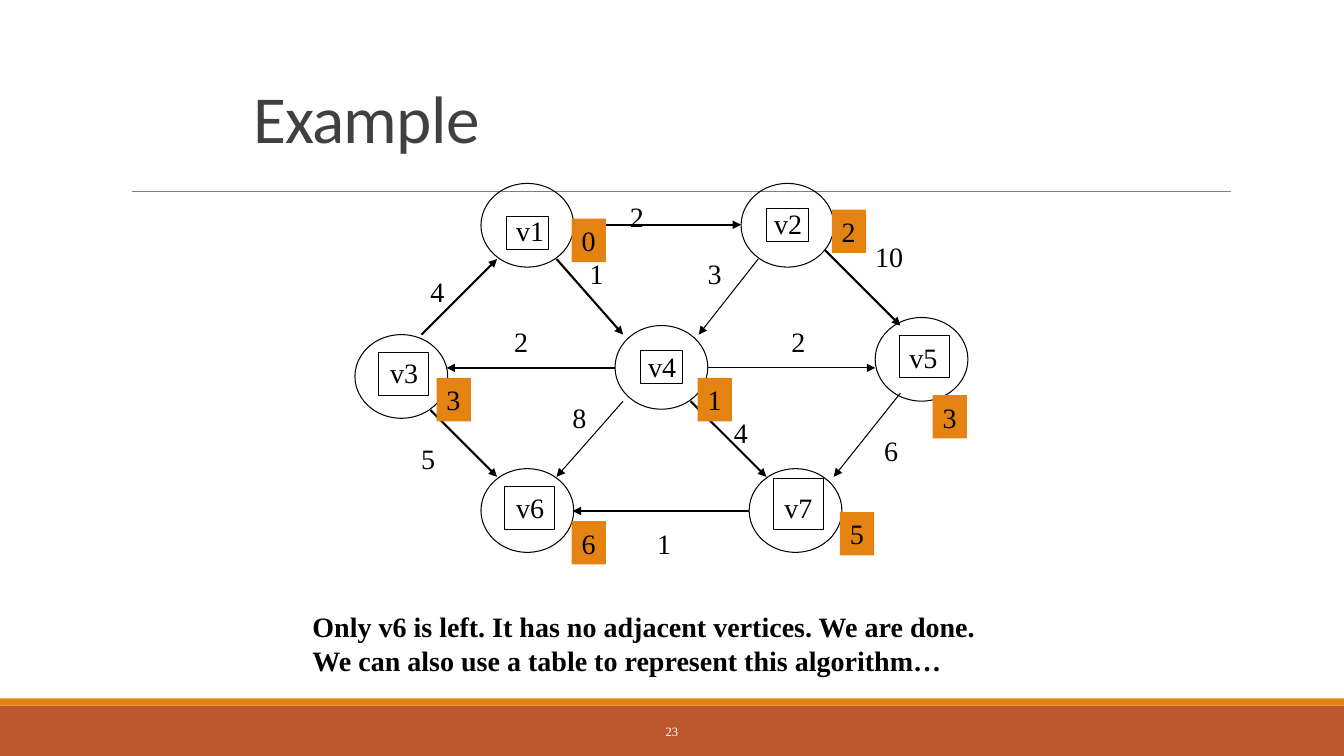
from lxml import etree
from pptx import Presentation
from pptx.dml.color import RGBColor
from pptx.enum.shapes import MSO_CONNECTOR, MSO_SHAPE
from pptx.enum.text import MSO_ANCHOR, PP_ALIGN
from pptx.oxml.ns import qn
from pptx.util import Pt

RECT, OVAL = MSO_SHAPE.RECTANGLE, MSO_SHAPE.OVAL
LEFT, CENTER = PP_ALIGN.LEFT, PP_ALIGN.CENTER
TOP, MIDDLE, BOTTOM = MSO_ANCHOR.TOP, MSO_ANCHOR.MIDDLE, MSO_ANCHOR.BOTTOM
STRAIGHT = MSO_CONNECTOR.STRAIGHT
SERIF, SANS = "Times New Roman", "Calibri"
COLORS = {"rust": "BD582C", "orange": "E48312", "rule": "808080",
          "title": "404040", "black": "000000", "white": "FFFFFF"}

TITLE = "Example"
CAPTION = ["Only v6 is left. It has no adjacent vertices. We are done.",
           "We can also use a table to represent this algorithm…"]
PAGE = "23"

# name, circle corner, name corner, frame box, distance, distance corner
NODES = [
    ("v1", (477, 182), (502, 207), (502, 215, 42, 33), "0", (567, 217)),
    ("v2", (735, 182), (758, 200), (760, 207, 42, 33), "2", (825, 208)),
    ("v3", (352, 332), (377, 348), (375, 350, 50, 42), "3", (433, 375)),
    ("v4", (610, 323), (633, 342), (635, 348, 42, 33), "1", (692, 375)),
    ("v5", (868, 315), (892, 333), (892, 333, 50, 42), "3", (925, 392)),
    ("v6", (477, 465), (502, 482), (500, 483, 50, 42), "6", (567, 517)),
    ("v7", (743, 465), (768, 482), (767, 475, 50, 50), "5", (833, 508)),
]

# weight, weight corner, start, end, line width
THIN, THICK = 0.75, 1.5
EDGES = [
    ("2", (615, 193), (568, 223), (735, 223), THICK),
    ("10", (858, 233), (818, 248), (893, 323), THICK),
    ("6", (867, 425), (893, 390), (827, 473), THIN),
    ("2", (500, 317), (610, 365), (443, 365), THICK),
    ("1", (575, 250), (552, 257), (618, 332), THICK),
    ("3", (692, 250), (752, 257), (693, 332), THIN),
    ("8", (558, 392), (618, 398), (552, 473), THIN),
    ("4", (718, 407), (685, 398), (760, 473), THICK),
    ("1", (642, 517), (743, 507), (568, 507), THICK),
    ("5", (408, 433), (427, 407), (493, 473), THICK),
    ("4", (417, 267), (418, 332), (493, 257), THICK),
    ("2", (775, 317), (702, 365), (868, 365), THIN),
]
CIRCLE, DIGIT, NAME = (92, 83), (34, 43), (48, 43)

SCALE = 9144  # 100 px to the inch


def emu(*vals):
    return [v * SCALE for v in vals]


def rgb(key):
    return RGBColor.from_string(COLORS[key])


def write(shape, lines, size=20, face=SERIF, color="black", bold=False,
          align=LEFT, anchor=TOP, wrap=False, lead=None, track=None):
    frame = shape.text_frame
    frame.word_wrap = wrap
    frame.vertical_anchor = anchor
    frame.text = "\n".join(lines)
    for para in frame.paragraphs:
        para.alignment = align
        if lead:
            para.line_spacing = lead
        for run in para.runs:
            font = run.font
            font.size, font.name, font.bold = Pt(size), face, bold
            font.color.rgb = rgb(color)
            if track:
                font._element.set("spc", str(track))


def draw(kind, box, fill=None, line=None):
    shape = slide.shapes.add_shape(kind, *emu(*box))
    shape.shadow.inherit = False
    if fill:
        shape.fill.solid()
        shape.fill.fore_color.rgb = rgb(fill)
    else:
        shape.fill.background()
    if line:
        shape.line.color.rgb = rgb(line)
        shape.line.width = Pt(THIN)
    else:
        shape.line.fill.background()
    return shape


def label(box, text, **style):
    write(slide.shapes.add_textbox(*emu(*box)), [text], **style)


def join(start, end, color, width, arrow=True):
    link = slide.shapes.add_connector(STRAIGHT, *emu(*start, *end))
    link.line.color.rgb = rgb(color)
    link.line.width = Pt(width)
    props = link._element.spPr
    if arrow:
        tip = etree.SubElement(props.find(qn("a:ln")), qn("a:tailEnd"))
        tip.set("type", "triangle")
    etree.SubElement(props, qn("a:effectLst"))


deck = Presentation()
deck.slide_width, deck.slide_height = emu(1333, 750)
slide = deck.slides.add_slide(deck.slide_layouts[5])

draw(RECT, (0, 700, 1333, 50), fill="rust")
draw(RECT, (0, 693, 1333, 7), fill="orange")
join((131, 190), (1221, 190), "rule", 0.5, arrow=False)

title = slide.shapes.title
title.left, title.top, title.width, title.height = emu(241, 36, 850, 125)
write(title, [TITLE], size=48, face=SANS, color="title", anchor=BOTTOM,
      wrap=True, lead=0.85, track=-50)

for name, circle, *rest in NODES:
    draw(OVAL, circle + CIRCLE, line="black")
for weight, spot, start, end, width in EDGES:
    join(start, end, "black", width)
    label(spot + (NAME if len(weight) > 1 else DIGIT), weight)
for name, circle, spot, frame, dist, badge in NODES:
    label(spot + NAME, name)
    write(draw(RECT, badge + DIGIT, fill="orange"), [dist])
    draw(RECT, frame, line="black")

write(draw(RECT, (300, 600, 678, 77), fill="white"), CAPTION, bold=True)
label((403, 706, 527, 40), PAGE, size=9, color="white", align=CENTER,
      anchor=MIDDLE, wrap=True)

deck.save("out.pptx")
